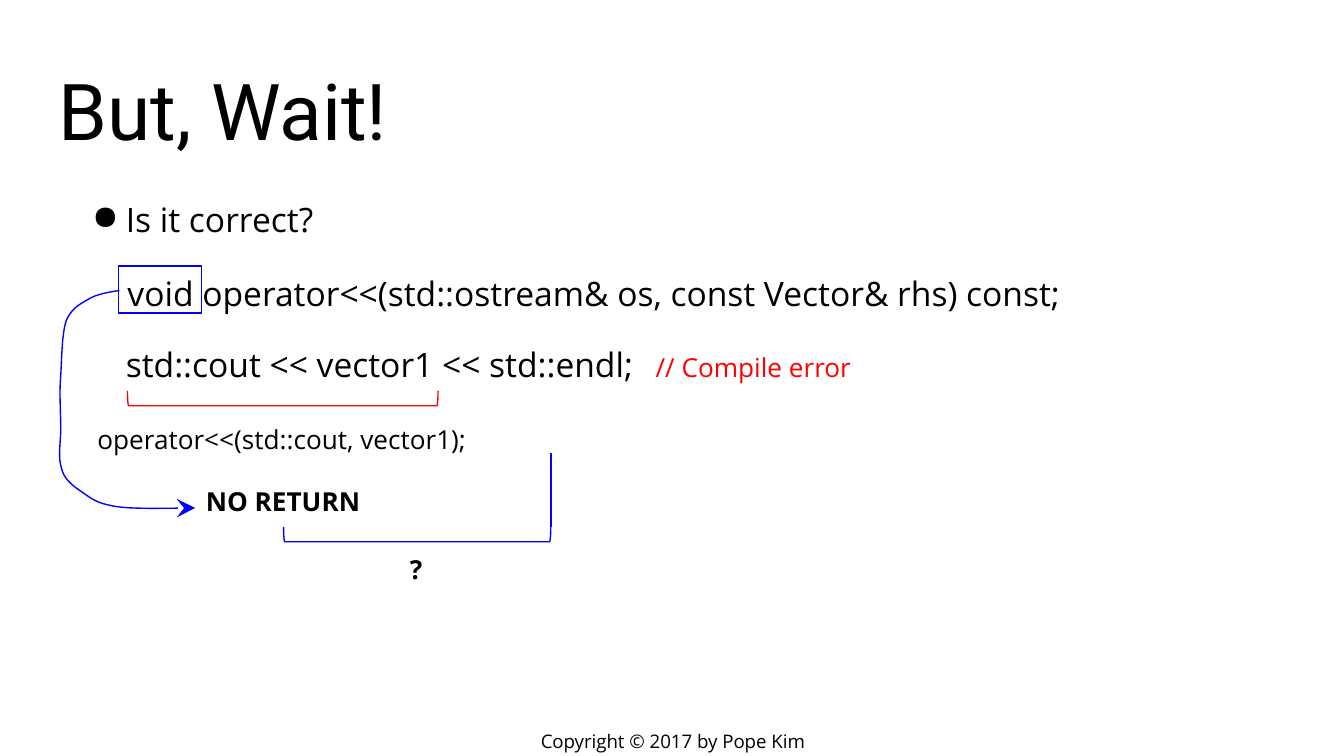
from lxml.etree import SubElement
from pptx import Presentation
from pptx.dml.color import RGBColor
from pptx.enum.shapes import MSO_CONNECTOR, MSO_SHAPE
from pptx.enum.text import MSO_ANCHOR, MSO_AUTO_SIZE, PP_ALIGN
from pptx.oxml.ns import qn
from pptx.util import Cm, Pt

COLORS = {"text": "000000", "error": "FF0000", "note": "0000FF", "page": "FFFFFF"}
BODY_FONT = "Open Sans"
TITLE_FONT = "Roboto"
CURVE = [
    (1.14, 0.46),
    (1.04, 0.48), (0.76, 0.51), (0.58, 0.61),
    (0.41, 0.71), (0.23, 0.79), (0.13, 1.04),
    (0.05, 1.3), (0.05, 1.73), (0.03, 2.06),
    (0, 2.41), (0.03, 2.77), (0.03, 3.05),
    (0.03, 3.35), (-0.03, 3.61), (0.05, 3.84),
    (0.1, 4.04), (0.28, 4.17), (0.46, 4.29),
    (0.64, 4.42), (0.76, 4.5), (1.12, 4.55),
    (1.47, 4.6), (2.34, 4.57), (2.57, 4.57),
]


def rgb(name):
    """Return the named colour."""
    return RGBColor.from_string(COLORS[name])


def within(box, left, top, width, height):
    """Shift a relative box by the corner of its region."""
    return box[0] + left, box[1] + top, width, height


def prepare_frame(frame, anchor):
    """Give a text frame its insets, wrapping and anchor."""
    frame.word_wrap = True
    frame.auto_size = MSO_AUTO_SIZE.NONE
    frame.vertical_anchor = anchor
    frame.margin_left = frame.margin_right = Cm(0.25)
    frame.margin_top = frame.margin_bottom = Cm(0.25)


def add_run(paragraph, text, size, color="text", bold=False, font=BODY_FONT):
    """Append one formatted run."""
    run = paragraph.add_run()
    run.text = text
    run.font.name = font
    run.font.size = Pt(size)
    run.font.bold = bold
    run.font.color.rgb = rgb(color)


def add_label(slide, box, text, size=14, color="text", bold=False,
              align=PP_ALIGN.CENTER, anchor=MSO_ANCHOR.MIDDLE):
    """Add a one-line text box and return its paragraph."""
    frame = slide.shapes.add_textbox(*map(Cm, box)).text_frame
    prepare_frame(frame, anchor)
    paragraph = frame.paragraphs[0]
    paragraph.alignment = align
    add_run(paragraph, text, size, color, bold)
    return paragraph


def outline(shape, color):
    """Leave a shape unfilled with a thin line."""
    shape.shadow.inherit = False
    shape.fill.background()
    shape.line.color.rgb = rgb(color)
    shape.line.width = Pt(0.75)


def add_under_bracket(slide, box, color):
    """Draw a bracket that opens upward and fills the box."""
    left, top, width, height = box
    turned = (left + (width - height) / 2, top + (height - width) / 2, height, width)
    bracket = slide.shapes.add_shape(MSO_SHAPE.LEFT_BRACKET, *map(Cm, turned))
    bracket.rotation = 270
    bracket.adjustments[0] = 0.083
    outline(bracket, color)


def curve_points(controls, steps=12):
    """Sample a chain of cubic curves."""
    points = [controls[0]]
    for start in range(0, len(controls) - 1, 3):
        a, b, c, d = controls[start:start + 4]
        for step in range(1, steps + 1):
            t = step / steps
            u = 1 - t
            points.append(tuple(
                u**3 * a[i] + 3 * u * u * t * b[i] + 3 * u * t * t * c[i] + t**3 * d[i]
                for i in (0, 1)))
    return points


def add_title(slide, box):
    """Place and format the title placeholder."""
    title = slide.shapes.title
    title.left, title.top, title.width, title.height = map(Cm, box)
    prepare_frame(title.text_frame, MSO_ANCHOR.BOTTOM)
    paragraph = title.text_frame.paragraphs[0]
    paragraph.alignment = PP_ALIGN.LEFT
    add_run(paragraph, "But, Wait!", 42, font=TITLE_FONT)


def add_body(slide, box):
    """Add the bulleted question and the statement below it."""
    frame = slide.shapes.add_textbox(*map(Cm, box)).text_frame
    prepare_frame(frame, MSO_ANCHOR.TOP)
    question, statement = frame.paragraphs[0], frame.add_paragraph()
    for paragraph, indent in ((question, Cm(-0.64)), (statement, 0)):
        properties = paragraph._p.get_or_add_pPr()
        properties.set("marL", str(Cm(1.27)))
        properties.set("indent", str(indent))
        paragraph.line_spacing = 1.15
    statement.space_before = Pt(53)
    SubElement(question._p.pPr, qn("a:buChar")).set("char", "●")
    add_run(question, "Is it correct?", 18)
    add_run(statement, "std::cout << vector1 << std::endl;", 18)


def add_signature(slide, box):
    """Add the operator declaration."""
    paragraph = add_label(
        slide, box, "void operator<<(std::ostream& os, const Vector& rhs) const;",
        18, align=PP_ALIGN.LEFT)
    paragraph.line_spacing = 1.15


def add_call(slide, box):
    """Bracket the first call and spell it out underneath."""
    add_under_bracket(slide, within(box, 0.99, 0, 5.87, 0.28), "error")
    add_label(slide, within(box, 0, 0.36, 7.82, 1.3),
              "operator<<(std::cout, vector1);", anchor=MSO_ANCHOR.TOP)


def add_missing_return(slide, box):
    """Frame the return type and lead an arrow to its consequence."""
    add_label(slide, within(box, 2.44, 3.89, 3.58, 1.3), "NO RETURN",
              bold=True, anchor=MSO_ANCHOR.TOP)
    frame = slide.shapes.add_shape(
        MSO_SHAPE.RECTANGLE, *map(Cm, within(box, 1.12, 0, 1.57, 0.89)))
    outline(frame, "note")
    points = [(Cm(box[0] + x), Cm(box[1] + y)) for x, y in curve_points(CURVE)]
    builder = slide.shapes.build_freeform(*points[0])
    builder.add_line_segments(points[1:], close=False)
    arrow = builder.convert_to_shape()
    outline(arrow, "note")
    head = SubElement(arrow.line._get_or_add_ln(), qn("a:tailEnd"))
    for key, value in (("type", "stealth"), ("w", "lg"), ("len", "lg")):
        head.set(key, value)


def add_question(slide, box):
    """Link the missing result and the next operand with a question mark."""
    left, top, width, _ = box
    right = Cm(left + width)
    line = slide.shapes.add_connector(
        MSO_CONNECTOR.STRAIGHT, right, Cm(top + 1.4), right, Cm(top))
    line.line.color.rgb = rgb("note")
    line.line.width = Pt(0.75)
    SubElement(line._element.spPr, qn("a:effectLst"))
    add_under_bracket(slide, within(box, 0, 1.4, width, 0.28), "note")
    add_label(slide, within(box, 1.96, 1.65, 1.09, 1.09), "?", bold=True)


def main():
    """Build and save the slide."""
    presentation = Presentation()
    presentation.slide_width, presentation.slide_height = Cm(25.4), Cm(14.29)
    slide = presentation.slides.add_slide(presentation.slide_layouts[5])
    slide.background.fill.solid()
    slide.background.fill.fore_color.rgb = rgb("page")
    add_label(slide, (9.58, 13.74, 6.27, 0.53), "Copyright © 2017 by Pope Kim", 10)
    add_body(slide, (0.86, 3.4, 23.67, 4.24))
    add_title(slide, (0.86, 0.89, 23.67, 2.31))
    add_call(slide, (1.42, 7.39, 7.82, 1.66))
    add_question(slide, (5.36, 8.56, 5.05, 2.74))
    add_signature(slide, (2.16, 4.78, 18.82, 1.4))
    add_missing_return(slide, (1.12, 5.03, 6.02, 5.19))
    add_label(slide, (12.14, 6.4, 4.47, 1.09), "// Compile error",
              color="error", align=PP_ALIGN.LEFT)
    presentation.save("out.pptx")


if __name__ == "__main__":
    main()
